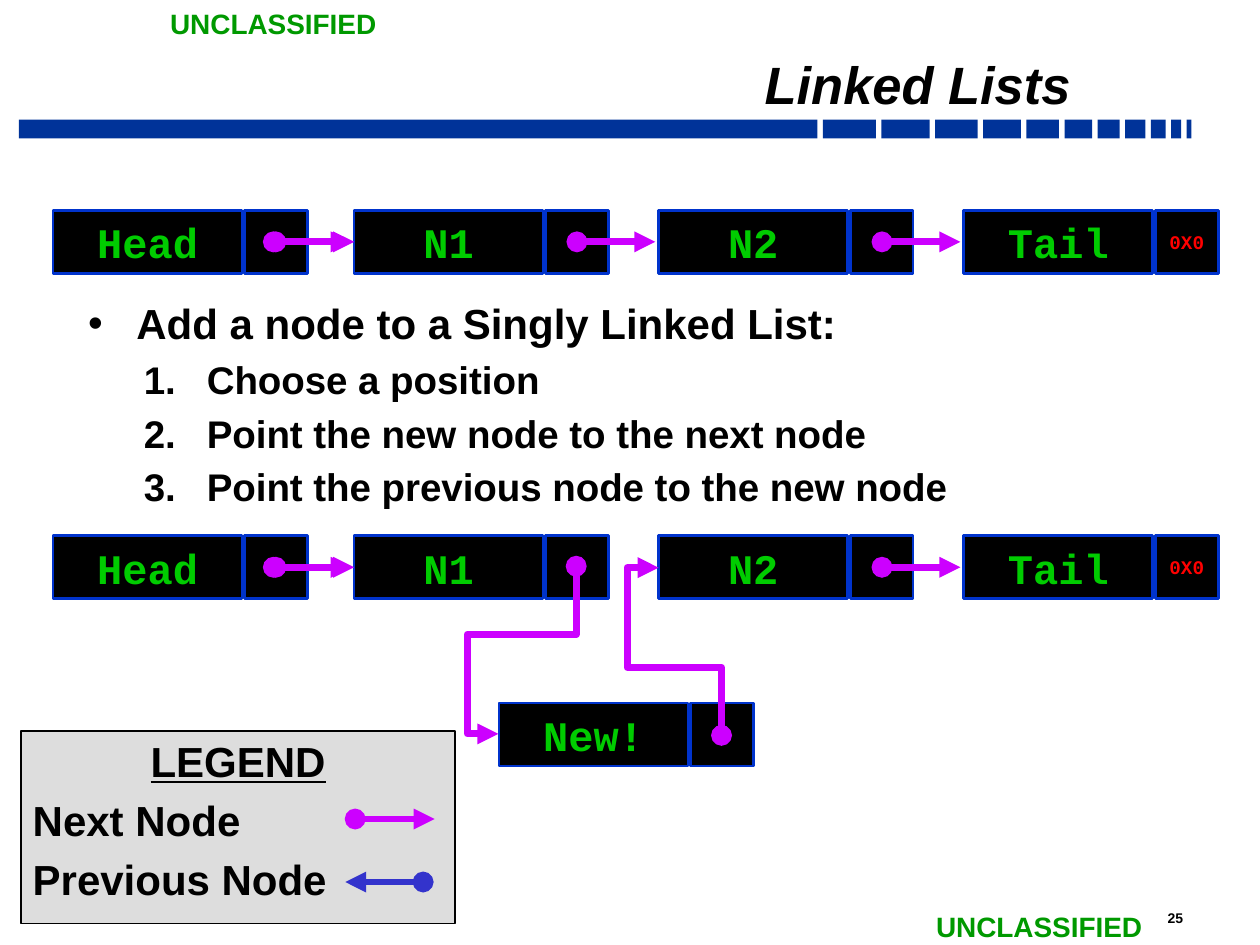
from lxml import etree
from pptx import Presentation
from pptx import util as u
from pptx.dml.color import RGBColor
from pptx.enum import shapes, text
from pptx.oxml.ns import qn

BLACK = RGBColor(0x00, 0x00, 0x00)
BAR_BLUE = RGBColor(0x00, 0x33, 0x99)
EDGE_BLUE = RGBColor(0x00, 0x33, 0xCC)
MARK_GREEN = RGBColor(0x00, 0x99, 0x00)
NODE_GREEN = RGBColor(0x00, 0xCC, 0x00)
NULL_RED = RGBColor(0xFF, 0x00, 0x00)
NEXT_PURPLE = RGBColor(0xCC, 0x00, 0xFF)
PREVIOUS_BLUE = RGBColor(0x33, 0x33, 0xCC)
LEGEND_GREY = RGBColor(0xDD, 0xDD, 0xDD)

# Node geometry in cm
DATA_WIDTH, POINTER_OFFSET, CELL = 3.81, 3.86, 1.27
NODE_LEFTS = {"Head": 1.07, "N1": 7.14, "N2": 13.28, "Tail": 19.43}
ARROW_LENGTH = 1.58
UPPER_ROW, LOWER_ROW = 4.24, 10.8


def place(shape, left, top, width, height):
    shape.left, shape.top = u.Cm(left), u.Cm(top)
    shape.width, shape.height = u.Cm(width), u.Cm(height)


def style(para, size, color=BLACK, font="Arial", align=None):
    para.alignment = align
    for span in para.runs:
        span.font.name = font
        span.font.size = u.Pt(size)
        span.font.bold = True
        span.font.color.rgb = color


def set_margins(frame, side, top):
    frame.margin_left = frame.margin_right = u.Cm(side)
    frame.margin_top = u.Cm(top)
    frame.margin_bottom = u.Cm(0.1)


def add_box(page, left, top, width, height, fill, edge=None, weight=1.5):
    box = page.shapes.add_shape(shapes.MSO_SHAPE.RECTANGLE, u.Cm(left),
                                u.Cm(top), u.Cm(width), u.Cm(height))
    box.shadow.inherit = False
    box.fill.solid()
    box.fill.fore_color.rgb = fill
    if edge is None:
        box.line.fill.background()
    else:
        box.line.color.rgb = edge
        box.line.width = u.Pt(weight)
    return box


def add_label(page, words, left, top, width, height, size, color, wrap=False):
    box = page.shapes.add_textbox(u.Cm(left), u.Cm(top), u.Cm(width), u.Cm(height))
    box.text_frame.word_wrap = wrap
    box.text_frame.text = words
    style(box.text_frame.paragraphs[0], size, color)


def add_node(page, left, top, name, pointer=""):
    cells = ((left, DATA_WIDTH, name, 24, NODE_GREEN),
             (left + POINTER_OFFSET, CELL, pointer, 11, NULL_RED))
    for x, width, words, size, color in cells:
        box = add_box(page, x, top, width, CELL, BLACK, EDGE_BLUE)
        if words:
            frame = box.text_frame
            frame.word_wrap = True
            frame.vertical_anchor = text.MSO_ANCHOR.MIDDLE
            if pointer == words:
                frame.margin_left = frame.margin_right = 0
            frame.text = words
            style(frame.paragraphs[0], size, color, "Courier New", text.PP_ALIGN.CENTER)


def finish_arrow(arrow, color):
    """Thick line with a round start, a triangular end and no shadow."""
    arrow.line.color.rgb = color
    arrow.line.width = u.Pt(4)
    line = arrow.line._get_or_add_ln()
    etree.SubElement(line, qn("a:headEnd"), type="oval")
    etree.SubElement(line, qn("a:tailEnd"), type="triangle")
    etree.SubElement(arrow._element.spPr, qn("a:effectLst"))


def add_arrow(page, start, end, y, color=NEXT_PURPLE):
    arrow = page.shapes.add_connector(shapes.MSO_CONNECTOR.STRAIGHT, u.Cm(start),
                                      u.Cm(y), u.Cm(end), u.Cm(y))
    finish_arrow(arrow, color)


def add_bent_arrow(page, left, top, width, height, turn, bends, flip=False):
    """Four-segment elbow, turned by whole degrees; bends are in 1/100000."""
    arrow = page.shapes.add_connector(shapes.MSO_CONNECTOR.ELBOW, u.Cm(left), u.Cm(top),
                                      u.Cm(left + width), u.Cm(top + height))
    properties = arrow._element.spPr
    frame = properties.find(qn("a:xfrm"))
    frame.set("rot", str(turn * 60000))
    if flip:
        frame.set("flipV", "1")
    geometry = properties.find(qn("a:prstGeom"))
    geometry.set("prst", "bentConnector4")
    guides = geometry.find(qn("a:avLst"))
    if guides is None:
        guides = etree.SubElement(geometry, qn("a:avLst"))
    for number, bend in enumerate(bends, 1):
        etree.SubElement(guides, qn("a:gd"), name=f"adj{number}", fmla=f"val {bend}")
    finish_arrow(arrow, NEXT_PURPLE)


def add_list(page, top, arrow_starts):
    for name, left in NODE_LEFTS.items():
        add_node(page, left, top, name, "0X0" if name == "Tail" else "")
    for start in arrow_starts:
        add_arrow(page, start, start + ARROW_LENGTH, top + CELL / 2)


def add_title(page):
    title = page.shapes.title
    place(title, 4.24, 0.89, 17.58, 1.5)
    frame = title.text_frame
    set_margins(frame, 0.23, 0.1)
    frame.vertical_anchor = text.MSO_ANCHOR.BOTTOM
    frame.text = "Linked Lists"
    para = frame.paragraphs[0]
    style(para, 30, align=text.PP_ALIGN.RIGHT)
    para.line_spacing = 0.7
    para.runs[0].font.italic = True


def add_title_bar(page):
    left = 0.38
    for width in (16.1, 1.07, 0.97, 0.86, 0.76, 0.66, 0.56, 0.44, 0.41, 0.3, 0.2, 0.1):
        add_box(page, left, 2.41, width, 0.38, BAR_BLUE)
        left += width + 0.11


def add_steps(page):
    box = page.shapes.add_textbox(u.Cm(1.55), u.Cm(3.61), u.Cm(23.04), u.Cm(13.13))
    frame = box.text_frame
    frame.word_wrap = True
    set_margins(frame, 0.23, 2.39)  # text starts below the upper list
    frame.text = "\n".join(("Add a node to a Singly Linked List:", "Choose a position",
                            "Point the new node to the next node",
                            "Point the previous node to the new node"))
    for number, para in enumerate(frame.paragraphs):
        size, indent, hang = (22, 2.39, 1.27) if number else (24, 0.97, 0.97)
        para.level = 1 if number else 0
        style(para, size)
        para.space_before = u.Pt(size * 0.2)
        properties = para._p.get_or_add_pPr()
        properties.set("marL", str(u.Cm(indent)))
        properties.set("indent", str(-u.Cm(hang)))
        etree.SubElement(properties, qn("a:buFont"), typeface="Arial")
        if number:
            etree.SubElement(properties, qn("a:buAutoNum"), type="arabicPeriod")
        else:
            etree.SubElement(properties, qn("a:buChar"), char="•")


def add_legend(page):
    frame = add_box(page, 0.43, 14.73, 8.74, 3.89, LEGEND_GREY, BLACK, 1).text_frame
    frame.word_wrap = True
    frame.vertical_anchor = text.MSO_ANCHOR.TOP
    set_margins(frame, 0.23, 0.1)
    frame.text = "LEGEND\nNext Node\nPrevious Node"
    for para in frame.paragraphs:
        style(para, 24, align=text.PP_ALIGN.LEFT)
        para.space_before = u.Pt(4.8)
    heading = frame.paragraphs[0]
    heading.alignment = text.PP_ALIGN.CENTER
    heading.runs[0].font.underline = True
    add_arrow(page, 7.16, 8.76, 16.51)
    add_arrow(page, 8.53, 6.96, 17.78, PREVIOUS_BLUE)


def main():
    deck = Presentation()
    deck.slide_width, deck.slide_height = u.Cm(25.4), u.Cm(19.05)
    page = deck.slides.add_slide(deck.slide_layouts[5])

    # Header, footer and title
    add_title_bar(page)
    add_label(page, "25", 23.29, 18.21, 1.37, 0.58, 8, BLACK, wrap=True)
    for left, top in ((3.18, 0), (18.62, 18.21)):
        add_label(page, "UNCLASSIFIED", left, top, 4.72, 0.94, 16, MARK_GREEN)
    add_title(page)
    add_steps(page)

    # List before and after the insertion
    add_list(page, UPPER_ROW, (5.51, 5.56, 11.63, 17.78))
    add_list(page, LOWER_ROW, (5.51, 5.56, 17.78))
    add_node(page, 10.06, 14.17, "New!")
    add_bent_arrow(page, 9.14, 12.32, 3.38, 1.57, 90, (40600, 140000))
    add_bent_arrow(page, 12.22, 12.5, 3.38, 1.27, 270, (40600, 150000), flip=True)

    add_legend(page)
    deck.save("out.pptx")


if __name__ == "__main__":
    main()
